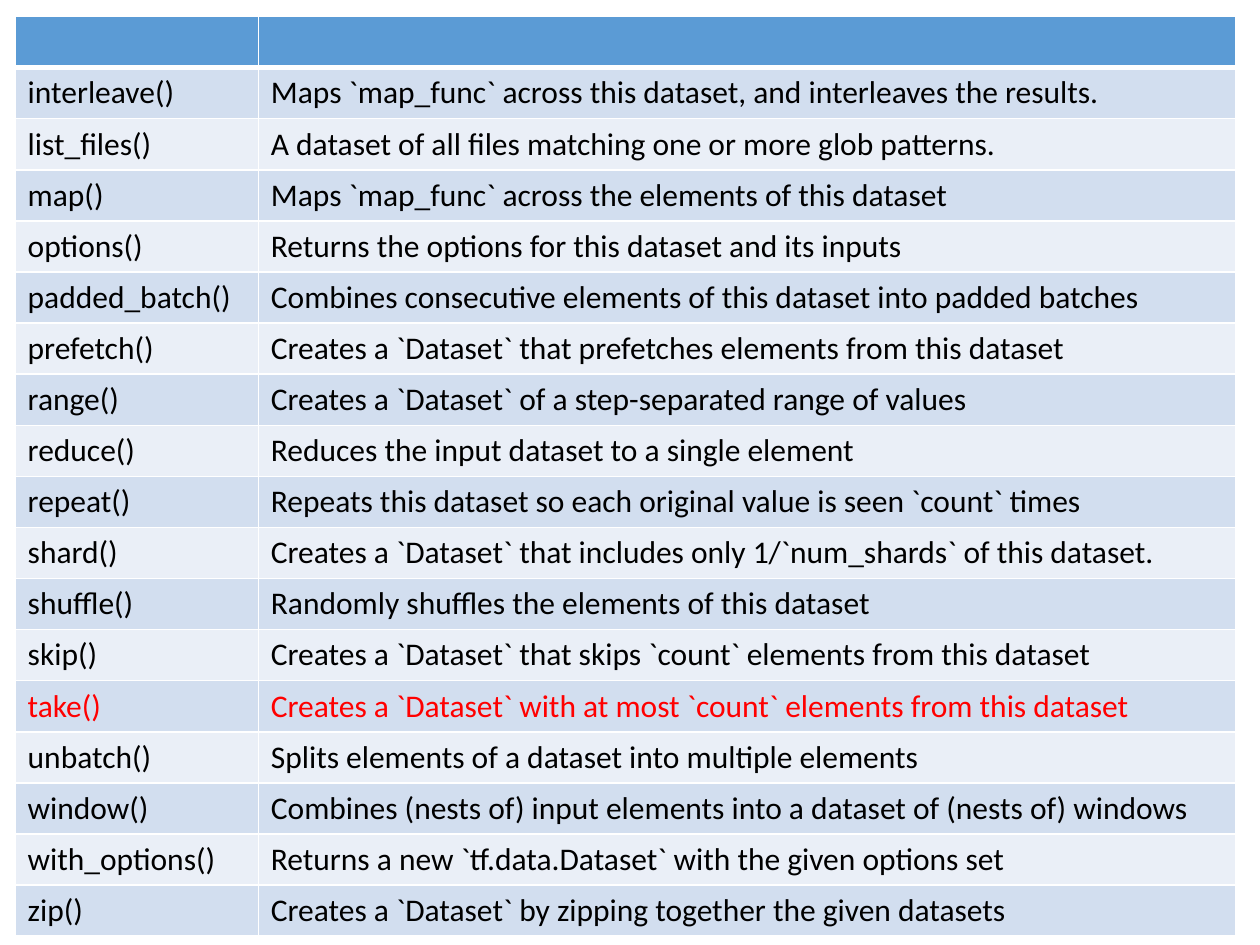
"""Build a slide with a table of dataset methods and what each one does."""
import lxml.etree
import pptx
import pptx.dml.color
import pptx.oxml.ns
import pptx.util

THEME = {
    "header": "5B9BD5",
    "bands": ("D2DEEF", "EAEFF7"),
    "rule": "FFFFFF",
    "text": "000000",
    "highlight": "FF0000",
    "font": {"name": "Calibri", "size": pptx.util.Pt(18), "bold": False},
    "rule_width": 1,
    "header_rule_width": 3,
}
METHODS = [
    ("interleave()", "Maps `map_func` across this dataset, and interleaves the results."),
    ("list_files()", "A dataset of all files matching one or more glob patterns."),
    ("map()", "Maps `map_func` across the elements of this dataset"),
    ("options()", "Returns the options for this dataset and its inputs"),
    ("padded_batch()", "Combines consecutive elements of this dataset into padded batches"),
    ("prefetch()", "Creates a `Dataset` that prefetches elements from this dataset"),
    ("range()", "Creates a `Dataset` of a step-separated range of values"),
    ("reduce()", "Reduces the input dataset to a single element"),
    ("repeat()", "Repeats this dataset so each original value is seen `count` times"),
    ("shard()", "Creates a `Dataset` that includes only 1/`num_shards` of this dataset."),
    ("shuffle()", "Randomly shuffles the elements of this dataset"),
    ("skip()", "Creates a `Dataset` that skips `count` elements from this dataset"),
    ("take()", "Creates a `Dataset` with at most `count` elements from this dataset"),
    ("unbatch()", "Splits elements of a dataset into multiple elements"),
    ("window()", "Combines (nests of) input elements into a dataset of (nests of) windows"),
    ("with_options()", "Returns a new `tf.data.Dataset` with the given options set"),
    ("zip()", "Creates a `Dataset` by zipping together the given datasets"),
]
HIGHLIGHTED = "take()"


def add_border(cell, side, width):
    """Draw one solid edge of a cell."""
    qn = pptx.oxml.ns.qn
    edge = lxml.etree.SubElement(
        cell._tc.get_or_add_tcPr(), qn(f"a:ln{side}"), w=str(pptx.util.Pt(width))
    )
    fill = lxml.etree.SubElement(edge, qn("a:solidFill"))
    lxml.etree.SubElement(fill, qn("a:srgbClr"), val=THEME["rule"])


def rgb(value):
    """Return the colour for a hex string."""
    return pptx.dml.color.RGBColor.from_string(value)


deck = pptx.Presentation()
deck.slide_width = pptx.util.Inches(10)
deck.slide_height = pptx.util.Inches(7.5)
slide = deck.slides.add_slide(deck.slide_layouts[6])

rows = [("", "")] + METHODS
left, top = int(deck.slide_width * 0.012), int(deck.slide_height * 0.0175)
width, height = int(deck.slide_width * 0.969), int(deck.slide_height * 0.9735)
methods = slide.shapes.add_table(len(rows), 2, left, top, width, height).table
methods.columns[0].width = int(deck.slide_width * 0.193)
methods.columns[1].width = width - methods.columns[0].width

for row, entry in enumerate(rows):
    methods.rows[row].height = height // len(rows)
    band = THEME["bands"][(row - 1) % 2] if row else THEME["header"]
    ink = THEME["highlight"] if entry[0] == HIGHLIGHTED else THEME["text"]
    edges = {side: THEME["rule_width"] for side in "LRTB"}
    if row == 0:
        edges["B"] = THEME["header_rule_width"]
    elif row == 1:
        edges["T"] = THEME["header_rule_width"]
    for column, wording in enumerate(entry):
        cell = methods.cell(row, column)
        for side, weight in edges.items():
            add_border(cell, side, weight)
        cell.fill.solid()
        cell.fill.fore_color.rgb = rgb(band)
        cell.text = wording
        font = cell.text_frame.paragraphs[0].font
        for attribute, value in THEME["font"].items():
            setattr(font, attribute, value)
        font.color.rgb = rgb(ink)

deck.save("out.pptx")
